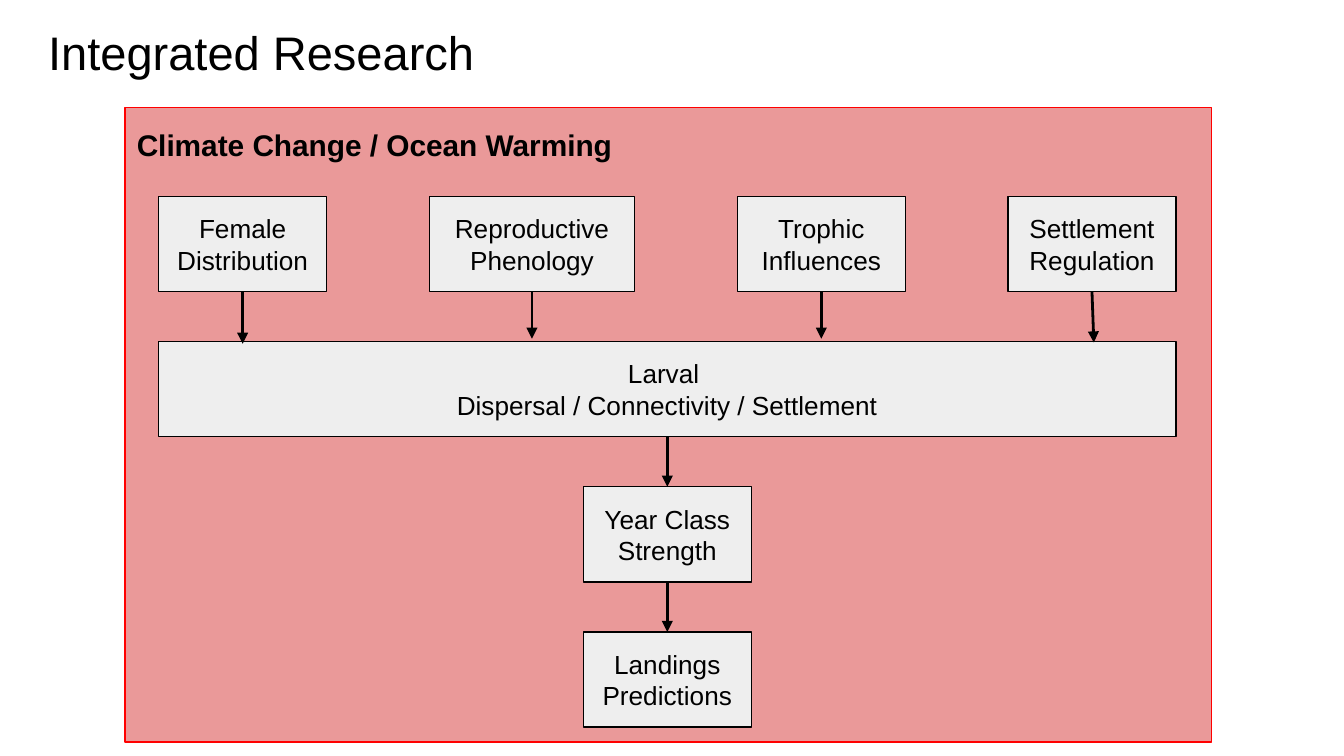
from dataclasses import dataclass

from lxml import etree
from pptx import Presentation
from pptx.dml.color import RGBColor
from pptx.enum.shapes import MSO_CONNECTOR, MSO_SHAPE
from pptx.enum.text import MSO_ANCHOR, PP_ALIGN
from pptx.oxml.ns import qn
from pptx.util import Pt

RECTANGLE = MSO_SHAPE.RECTANGLE
STRAIGHT = MSO_CONNECTOR.STRAIGHT
TOP, MIDDLE = MSO_ANCHOR.TOP, MSO_ANCHOR.MIDDLE
LEFT, CENTER = PP_ALIGN.LEFT, PP_ALIGN.CENTER
TOP_SIDE, BOTTOM_SIDE = 0, 2


@dataclass(frozen=True)
class Theme:
    font: str = "Arial"
    ink: str = "000000"
    panel_fill: str = "EA9999"
    panel_line: str = "FF0000"
    box_fill: str = "EEEEEE"
    title_size: float = 25.2
    heading_size: float = 16
    box_size: float = 14
    outline: float = 0.75
    arrow: float = 1.5
    inset: float = 7.2


class DiagramSlide:
    def __init__(self, presentation, theme):
        self.theme = theme
        self.slide = presentation.slides.add_slide(presentation.slide_layouts[6])

    def set_text(self, shape, text, size, alignment, anchor, bold=False):
        text_frame = shape.text_frame
        text_frame.word_wrap = True
        text_frame.vertical_anchor = anchor
        inset = Pt(self.theme.inset)
        text_frame.margin_left = text_frame.margin_right = inset
        text_frame.margin_top = text_frame.margin_bottom = inset
        text_frame.text = text
        for paragraph in text_frame.paragraphs:
            paragraph.alignment = alignment
            for run in paragraph.runs:
                run.font.name = self.theme.font
                run.font.size = Pt(size)
                run.font.bold = bold
                run.font.color.rgb = RGBColor.from_string(self.theme.ink)

    def label(self, text, left, top, width, height, size, anchor=TOP, bold=False):
        shape = self.slide.shapes.add_textbox(Pt(left), Pt(top), Pt(width), Pt(height))
        self.set_text(shape, text, size, LEFT, anchor, bold)

    def rectangle(self, left, top, width, height, fill, line):
        shape = self.slide.shapes.add_shape(
            RECTANGLE, Pt(left), Pt(top), Pt(width), Pt(height))
        shape.shadow.inherit = False
        shape.fill.solid()
        shape.fill.fore_color.rgb = RGBColor.from_string(fill)
        shape.line.color.rgb = RGBColor.from_string(line)
        shape.line.width = Pt(self.theme.outline)
        return shape

    def box(self, text, left, top, width, height):
        shape = self.rectangle(
            left, top, width, height, self.theme.box_fill, self.theme.ink)
        self.set_text(shape, text, self.theme.box_size, CENTER, MIDDLE)
        return shape

    def arrow(self, source, end_x, end_y, target=None):
        connector = self.slide.shapes.add_connector(
            STRAIGHT, Pt(end_x), Pt(end_y), Pt(end_x), Pt(end_y))
        connector.begin_connect(source, BOTTOM_SIDE)
        if target is not None:
            connector.end_connect(target, TOP_SIDE)
        connector.line.color.rgb = RGBColor.from_string(self.theme.ink)
        connector.line.width = Pt(self.theme.arrow)
        properties = connector.element.spPr
        line = properties.find(qn("a:ln"))
        etree.SubElement(line, qn("a:tailEnd"), type="triangle")
        etree.SubElement(properties, qn("a:effectLst"))


def main():
    presentation = Presentation()
    presentation.slide_width = Pt(720)
    presentation.slide_height = Pt(405)
    theme = Theme()
    diagram = DiagramSlide(presentation, theme)

    diagram.label("Integrated Research", 18.7, 5, 671, 45.4, theme.title_size, MIDDLE)
    diagram.rectangle(67, 57.5, 582, 340, theme.panel_fill, theme.panel_line)
    diagram.label("Climate Change / Ocean Warming", 66.2, 60.5, 569, 34,
                  theme.heading_size, bold=True)

    left, full_width, box_width, box_height = 85, 545, 90, 51
    rows = [105.2 + 77.8 * row for row in range(4)]
    center = left + full_width / 2

    factors = [
        ("Female\nDistribution", box_width, 0, 1.2),
        ("Reproductive\nPhenology", 110, 0, -1.5),
        ("Trophic\nInfluences", box_width, 0, -1.5),
        ("Settlement\nRegulation", box_width, 1, 0.5),
    ]
    gap = (full_width - sum(factor[1] for factor in factors)) / (len(factors) - 1)

    larval = diagram.box("Larval \nDispersal / Connectivity / Settlement",
                         left, rows[1], full_width, box_height)
    factor_left = left
    for text, width, shift, overlap in factors:
        factor = diagram.box(text, factor_left, rows[0], width, box_height)
        diagram.arrow(factor, factor_left + width / 2 + shift, rows[1] + overlap)
        factor_left += width + gap

    previous = larval
    for text, top in zip(("Year Class Strength", "Landings\nPredictions"), rows[2:]):
        outcome = diagram.box(text, center - box_width / 2, top, box_width, box_height)
        diagram.arrow(previous, center, top, outcome)
        previous = outcome

    presentation.save("out.pptx")


if __name__ == "__main__":
    main()
